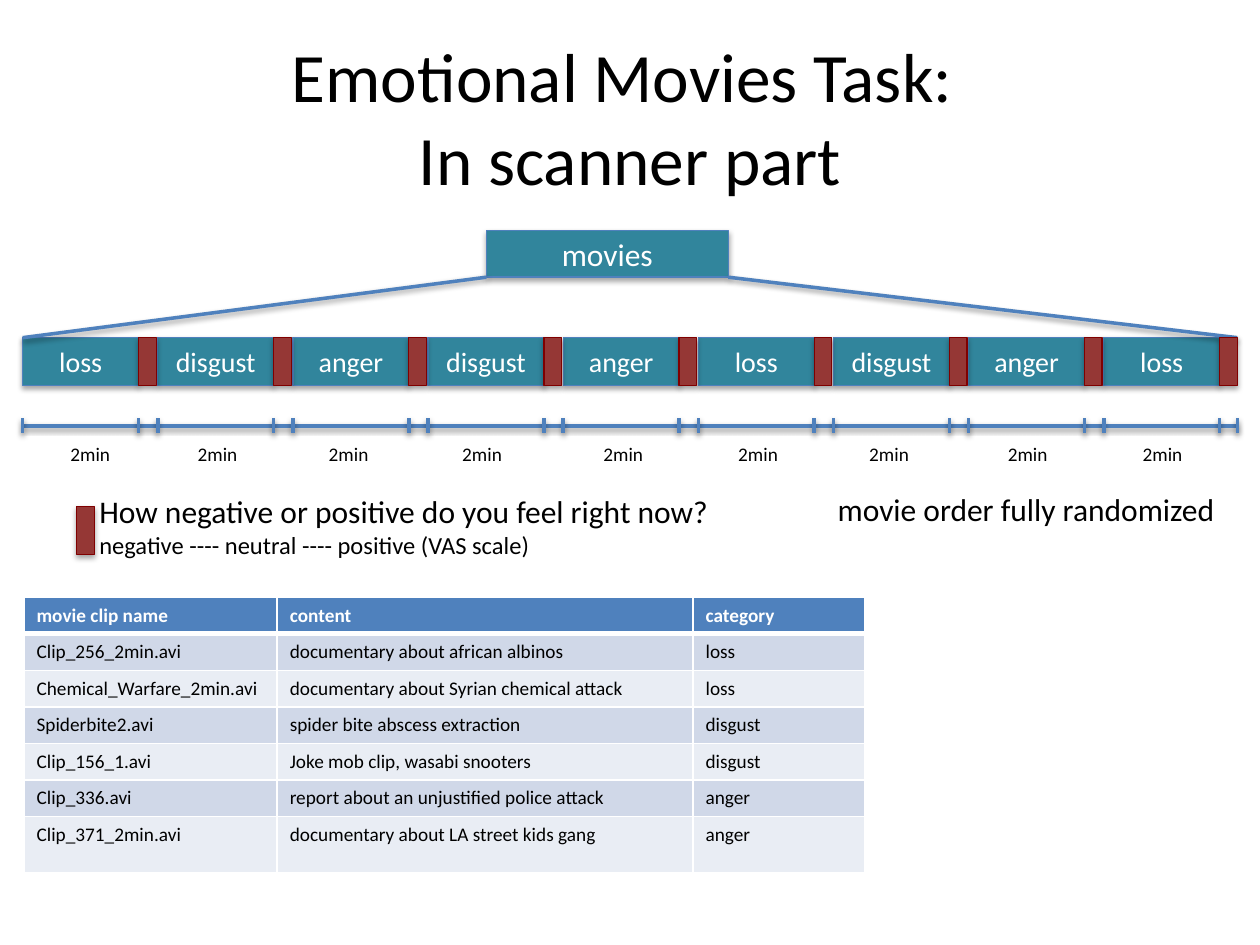
from dataclasses import dataclass
from typing import NamedTuple

import lxml.etree
import pptx
import pptx.dml.color
import pptx.enum.shapes
import pptx.enum.text
import pptx.oxml.ns
import pptx.util

Inches = pptx.util.Inches
qn = pptx.oxml.ns.qn
ALIGN = pptx.enum.text.PP_ALIGN
ANCHOR = pptx.enum.text.MSO_ANCHOR


@dataclass(frozen=True)
class Theme:
    font: str = "Calibri"
    black: str = "000000"
    white: str = "FFFFFF"
    blue: str = "4F81BD"
    teal: str = "31859C"
    red: str = "953735"
    dark_red: str = "800000"
    bands: tuple = ("D0D8E8", "E9EDF4")
    title: float = 39.6
    body: float = 18
    block: float = 16
    scale: float = 14
    small: float = 11


class Box(NamedTuple):
    left: float
    top: float
    width: float
    height: float

    def lengths(self) -> list:
        return [Inches(v) for v in self]


class Clip(NamedTuple):
    name: str
    content: str
    category: str


THEME = Theme()
MOVIES = ["loss", "disgust", "anger", "disgust", "anger", "loss", "disgust", "anger", "loss"]
HEADER = Clip("movie clip name", "content", "category")
CLIPS = [
    Clip("Clip_256_2min.avi", "documentary about african albinos", "loss"),
    Clip("Chemical_Warfare_2min.avi", "documentary about Syrian chemical attack", "loss"),
    Clip("Spiderbite2.avi", "spider bite abscess extraction", "disgust"),
    Clip("Clip_156_1.avi", "Joke mob clip, wasabi snooters", "disgust"),
    Clip("Clip_336.avi", "report about an unjustified police attack", "anger"),
    Clip("Clip_371_2min.avi", "documentary about LA street kids gang", "anger"),
]

# Timeline geometry, in inches
START, LAST, END = 0.18, 8.76, 9.82
PITCH = (LAST - START) / (len(MOVIES) - 1)
BLOCK_W, RATING_W, BAR_H = 0.92, 0.14, 0.38
BAR_TOP, AXIS_Y, TICK_TOP, TICK_H = 2.68, 3.38, 3.32, 0.12
HEADING = Box(3.86, 1.83, 1.92, 0.37)
DURATION_TABS = [0.27, 1.28, 2.32, 3.38, 4.5, 5.57, 6.61, 7.71, 8.78]


def rgb(color: str) -> pptx.dml.color.RGBColor:
    return pptx.dml.color.RGBColor.from_string(color)


def style(p, size: float, color: str = THEME.black, bold: bool = False) -> None:
    for r in p.runs:
        r.font.name, r.font.size, r.font.bold = THEME.font, pptx.util.Pt(size), bold
        r.font.color.rgb = rgb(color)


def add_shadow(sp, alpha: int, distance: float) -> None:
    """Soft shadow straight below; call after the outline has been set."""
    effects = lxml.etree.SubElement(sp._element.spPr, qn("a:effectLst"))
    shadow = lxml.etree.SubElement(
        effects, qn("a:outerShdw"), blurRad=str(pptx.util.Pt(3.1)),
        dist=str(pptx.util.Pt(distance)), dir="5400000", rotWithShape="0")
    color = lxml.etree.SubElement(shadow, qn("a:srgbClr"), val=THEME.black)
    lxml.etree.SubElement(color, qn("a:alpha"), val=str(alpha * 1000))


def add_bar(shapes, box: Box, fill: str, line: str, text: str = "", size: float = THEME.block) -> None:
    sp = shapes.add_shape(pptx.enum.shapes.MSO_SHAPE.RECTANGLE, *box.lengths())
    sp.fill.solid()
    sp.fill.fore_color.rgb = rgb(fill)
    sp.line.color.rgb = rgb(line)
    sp.line.width = pptx.util.Pt(0.75)
    add_shadow(sp, 35, 1.8)
    if text:
        tf = sp.text_frame
        tf.text = text
        tf.vertical_anchor = ANCHOR.MIDDLE
        tf.paragraphs[0].alignment = ALIGN.CENTER
        style(tf.paragraphs[0], size, THEME.white)


def add_rating(shapes, left: float, top: float) -> None:
    add_bar(shapes, Box(left, top, RATING_W, BAR_H), THEME.red, THEME.dark_red)


def add_line(shapes, x1: float, y1: float, x2: float, y2: float) -> None:
    line = shapes.add_connector(
        pptx.enum.shapes.MSO_CONNECTOR.STRAIGHT, Inches(x1), Inches(y1), Inches(x2), Inches(y2))
    line.line.color.rgb = rgb(THEME.blue)
    line.line.width = pptx.util.Pt(2)
    add_shadow(line, 38, 1.6)


def add_text(shapes, box: Box, *lines: tuple[str, float]):
    tf = shapes.add_textbox(*box.lengths()).text_frame
    tf.word_wrap = True
    tf.text = "\n".join(text for text, _ in lines)
    for p, (_, size) in zip(tf.paragraphs, lines):
        style(p, size)
    return tf


def add_timeline(shapes) -> None:
    lefts = [START + i * PITCH for i in range(len(MOVIES))]
    add_bar(shapes, HEADING, THEME.teal, THEME.blue, "movies", THEME.body)
    for left, movie in zip(lefts, MOVIES):
        add_bar(shapes, Box(left, BAR_TOP, BLOCK_W, BAR_H), THEME.teal, THEME.blue, movie)

    # Lines fanning out from the heading
    bottom = HEADING.top + HEADING.height
    add_line(shapes, START, BAR_TOP, HEADING.left, bottom)
    add_line(shapes, HEADING.left + HEADING.width, bottom, END, BAR_TOP)

    # Ratings after each movie, and the time axis
    add_line(shapes, START, AXIS_Y, END, AXIS_Y)
    for left in lefts:
        add_rating(shapes, left + BLOCK_W, BAR_TOP)
    for x in lefts + [left + BLOCK_W for left in lefts] + [END]:
        add_line(shapes, x, TICK_TOP, x, TICK_TOP + TICK_H)

    # Durations, placed by tab stops
    tf = add_text(shapes, Box(0.19, 3.46, 9.62, 0.29), ("\t2min" * len(MOVIES), THEME.small))
    tabs = lxml.etree.SubElement(tf.paragraphs[0]._p.get_or_add_pPr(), qn("a:tabLst"))
    for stop in DURATION_TABS:
        lxml.etree.SubElement(tabs, qn("a:tab"), pos=str(Inches(stop)), algn="l")


def set_borders(cell, bottom: float) -> None:
    tc_pr = cell._tc.get_or_add_tcPr()
    for side, width in (("L", 1), ("R", 1), ("T", 1), ("B", bottom)):
        ln = lxml.etree.SubElement(tc_pr, qn(f"a:ln{side}"), w=str(pptx.util.Pt(width)))
        fill = lxml.etree.SubElement(ln, qn("a:solidFill"))
        lxml.etree.SubElement(fill, qn("a:srgbClr"), val=THEME.white)


def add_clip_table(shapes) -> None:
    rows = [HEADER, *CLIPS]
    box = Box(0.19, 4.74, 6.67, 2.18)
    table = shapes.add_table(len(rows), len(HEADER), *box.lengths()).table
    for column, width in zip(table.columns, (2.01, 3.3, 1.36)):
        column.width = Inches(width)
    for i, clip in enumerate(rows):
        head = i == 0
        table.rows[i].height = Inches(0.45 if clip is rows[-1] else 0.29)
        for j, text in enumerate(clip):
            cell = table.cell(i, j)
            cell.text_frame.text = text
            style(cell.text_frame.paragraphs[0], THEME.small, THEME.white if head else THEME.black, head)
            set_borders(cell, 3 if head else 1)
            cell.fill.solid()
            cell.fill.fore_color.rgb = rgb(THEME.blue if head else THEME.bands[(i - 1) % 2])


def main() -> None:
    prs = pptx.Presentation()
    prs.slide_width, prs.slide_height = Inches(10), Inches(7.5)
    s = prs.slides.add_slide(prs.slide_layouts[5])

    # Title
    title = s.shapes.title
    title.left, title.top, title.width, title.height = Box(0.5, 0.3, 9, 1.25).lengths()
    tf = title.text_frame
    tf.text = "Emotional Movies Task: \vIn scanner part"
    tf.vertical_anchor = ANCHOR.MIDDLE
    tf.paragraphs[0].alignment = ALIGN.CENTER
    style(tf.paragraphs[0], THEME.title)

    # Rating question and order note
    add_rating(s.shapes, 0.61, 4.02)
    add_text(s.shapes, Box(0.69, 3.86, 5.06, 0.64),
             ("How negative or positive do you feel right now?", THEME.body),
             ("negative ---- neutral ---- positive (VAS scale)", THEME.scale))
    add_timeline(s.shapes.add_group_shape().shapes)
    add_text(s.shapes, Box(6.55, 3.84, 3.36, 0.4), ("movie order fully randomized", THEME.body))

    # Movie clips
    add_clip_table(s.shapes)
    prs.save("out.pptx")


if __name__ == "__main__":
    main()
